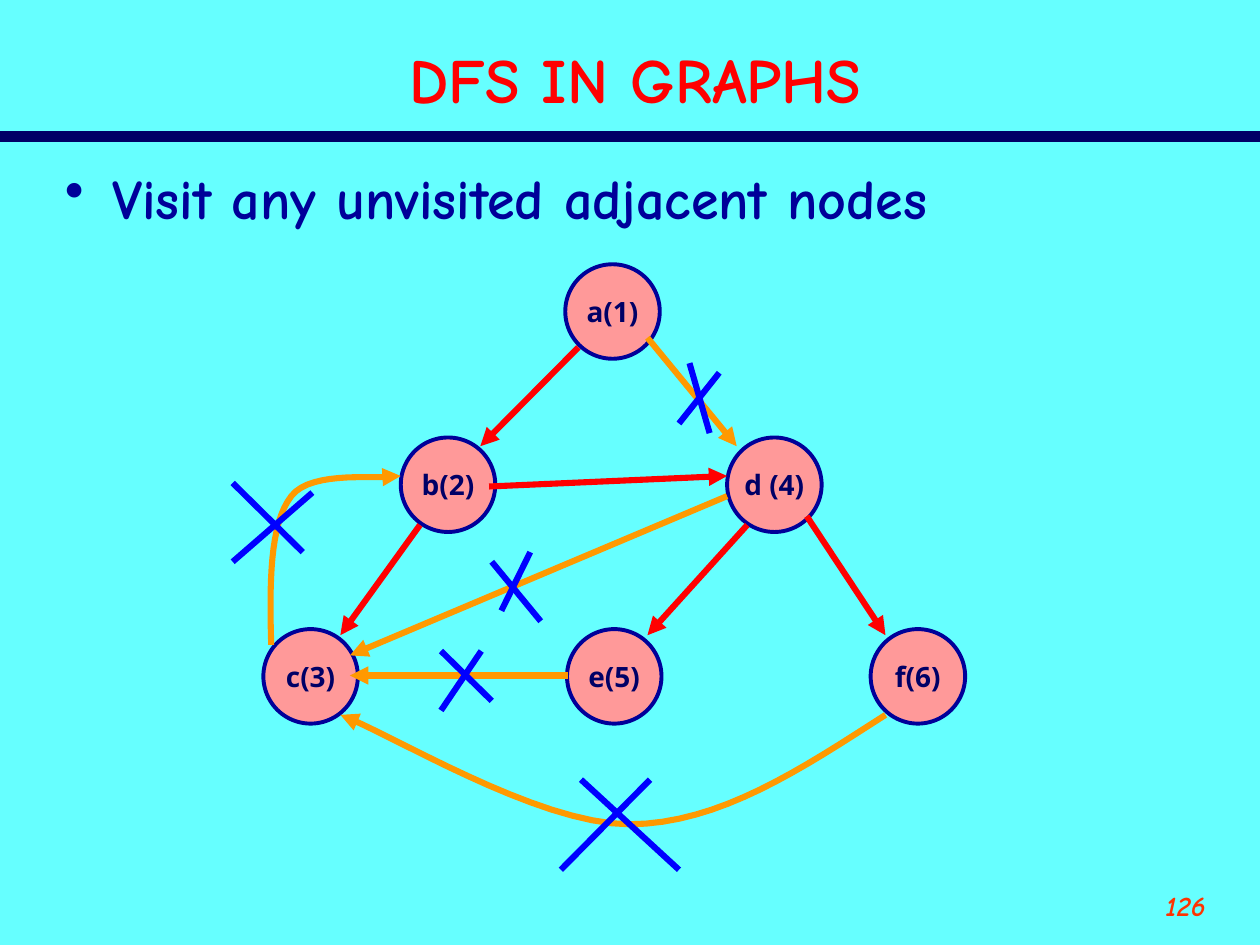
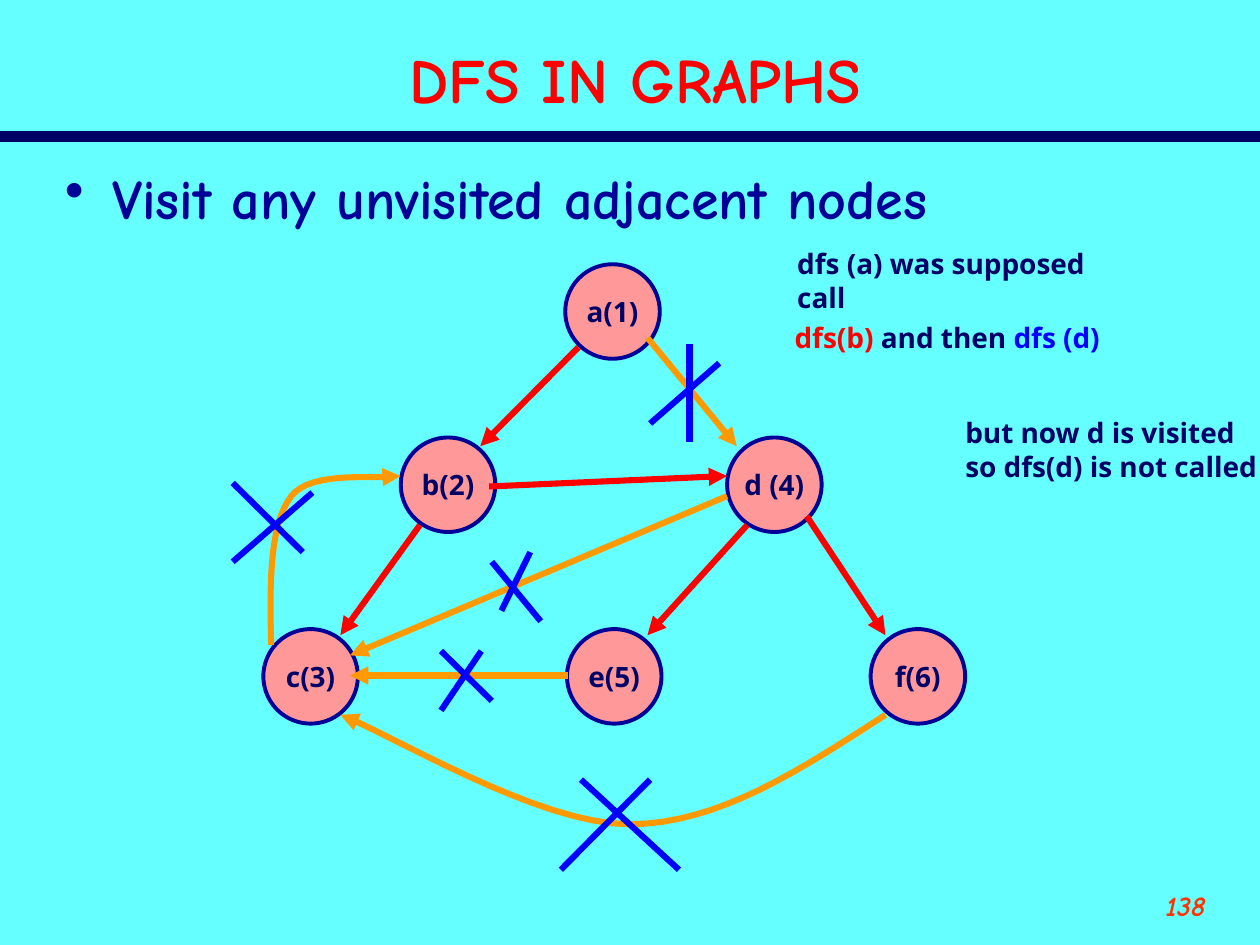
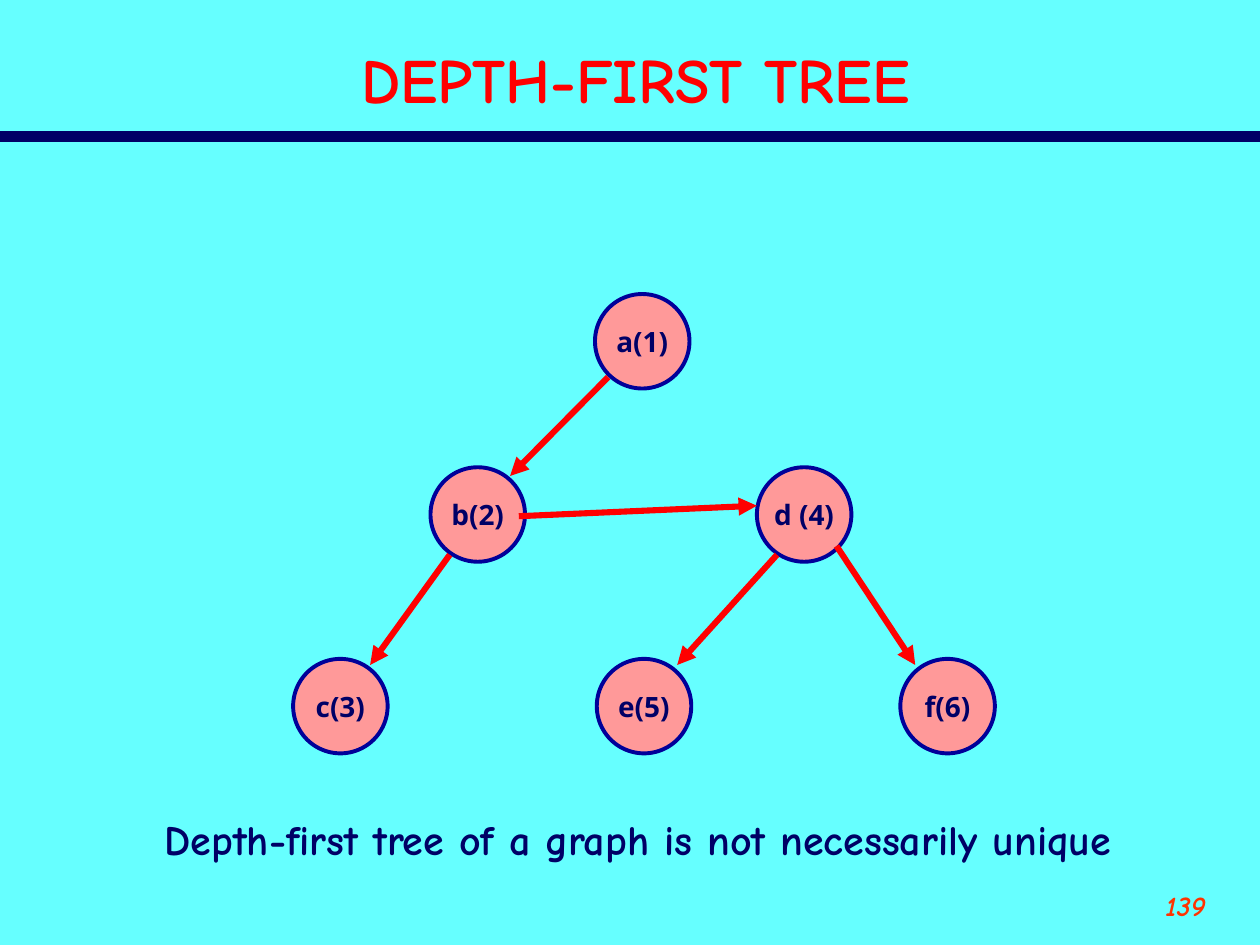
"""Build three slides that show depth-first search in a small graph."""
from dataclasses import dataclass
from typing import Any, NamedTuple

from lxml.etree import SubElement
from pptx import Presentation
from pptx.dml.color import RGBColor
from pptx.enum.shapes import MSO_CONNECTOR, MSO_SHAPE
from pptx.enum.text import MSO_ANCHOR, PP_ALIGN
from pptx.oxml.ns import qn
from pptx.util import Pt

OVAL = MSO_SHAPE.OVAL
STRAIGHT = MSO_CONNECTOR.STRAIGHT
TOP, MIDDLE = MSO_ANCHOR.TOP, MSO_ANCHOR.MIDDLE
LEFT, CENTER, RIGHT = PP_ALIGN.LEFT, PP_ALIGN.CENTER, PP_ALIGN.RIGHT

AQUA = RGBColor(0x66, 0xFF, 0xFF)
NAVY = RGBColor(0x00, 0x00, 0x66)
INDIGO = RGBColor(0x00, 0x00, 0x99)
BLUE = RGBColor(0x00, 0x00, 0xFF)
RED = RGBColor(0xFF, 0x00, 0x00)
RUST = RGBColor(0xFF, 0x33, 0x00)
ORANGE = RGBColor(0xFF, 0x99, 0x00)
PINK = RGBColor(0xFF, 0x99, 0x99)

COMIC, SANS = "Comic Neue", "Noto Sans"
TITLE = {"name": COMIC, "size": Pt(36), "bold": True}
BODY = {"name": COMIC, "size": Pt(32), "bold": True}
CLOSING = {"name": COMIC, "size": Pt(24), "bold": True}
NUMBER = {"name": COMIC, "size": Pt(16), "bold": True, "italic": True}
LABEL = {"name": SANS, "size": Pt(16), "bold": True}

WIDTH, HEIGHT = 720, 540
NODE_SIZE = 54
NODE_LINE, EDGE_LINE, RULE_LINE = 2.25, 3.5, 6
LEAF_X, LEAF_Y, LEAF_STEP = 150.5, 359.5, 173.5
MID_Y = 250
INDENT = 27
STEPS = 16
TREE_SHIFT = 17


class Point(NamedTuple):
    """A place on the slide, in points."""
    x: float
    y: float


class Span(NamedTuple):
    """A piece of text in one colour."""
    text: str
    color: RGBColor = NAVY


class Node(NamedTuple):
    """A graph node with its top left corner."""
    label: str
    x: float
    y: float


class Stroke(NamedTuple):
    """A straight line between two points."""
    start: Point
    end: Point


class Bend(NamedTuple):
    """A cubic curve section after a known start."""
    first: Point
    second: Point
    end: Point


class Curve(NamedTuple):
    """A start point and the bends that follow it."""
    start: Point
    bends: tuple[Bend, ...]


@dataclass(frozen=True)
class Box:
    """A text box with its paragraphs and format."""
    x: float
    y: float
    width: float
    height: float
    lines: tuple[tuple[Span, ...], ...]
    font: dict[str, Any]
    align: PP_ALIGN = LEFT
    anchor: MSO_ANCHOR = TOP
    wrap: bool = False
    bullet: bool = False


NODES = (
    Node("a(1)", 323, 151),
    Node("b(2)", 229, MID_Y),
    Node("d (4)", 415.5, MID_Y),
    *(Node(label, LEAF_X + i * LEAF_STEP, LEAF_Y)
      for i, label in enumerate(("c(3)", "e(5)", "f(6)"))),
)
TREE = (
    Stroke(Point(330.5, 198.5), Point(274.5, 255)),
    Stroke(Point(240, 300), Point(194.5, 363)),
    Stroke(Point(461, 295), Point(506, 363)),
    Stroke(Point(427, 300), Point(370, 363)),
    Stroke(Point(279.5, 278), Point(415.5, 272)),
)
SKIPPED = (
    Stroke(Point(370, 193), Point(421, 255)),
    Stroke(Point(324.5, 386), Point(200, 386)),
    Stroke(Point(415.5, 283.5), Point(200, 374.5)),
)
CURVES = (
    Curve(Point(506, 408.5), (
        Bend(Point(458.5, 439), Point(411, 471), Point(359.5, 471)),
        Bend(Point(306.5, 471), Point(222, 418.5), Point(194.5, 408.5)),
    )),
    Curve(Point(155, 368.5), (
        Bend(Point(154, 334), Point(154, 299.5), Point(166.5, 283.5)),
        Bend(Point(178.5, 268), Point(218, 274.5), Point(229, 272)),
    )),
)
CROSSES = (
    Stroke(Point(133, 276), Point(173, 315.5)),
    Stroke(Point(133, 321), Point(178.5, 281.5)),
    Stroke(Point(281, 321), Point(309, 355)),
    Stroke(Point(286.5, 349), Point(303, 315.5)),
    Stroke(Point(252, 372), Point(281, 400.5)),
    Stroke(Point(252, 406), Point(275, 372)),
    Stroke(Point(332, 445.5), Point(388, 497)),
    Stroke(Point(320.5, 497), Point(371.5, 445.5)),
)
SMALL_CROSS = (
    Stroke(Point(411, 213), Point(388, 242)),
    Stroke(Point(394, 207.5), Point(405.5, 247.5)),
)
LARGE_CROSS = (
    Stroke(Point(411, 207.5), Point(371.5, 242)),
    Stroke(Point(394, 196.5), Point(394, 252.5)),
)
VISIT = Box(30, 90, 666, 426, ((Span("Visit any unvisited adjacent nodes", INDIGO),),),
            BODY, wrap=True, bullet=True)
NOTES = (
    Box(447, 179.5, 189, 26.5,
        ((Span("dfs(b)", RED), Span(" and then "), Span("dfs (d)", BLUE)),), LABEL),
    Box(448.5, 137.5, 210, 26.5, ((Span("dfs (a) was supposed call"),),), LABEL),
    Box(544.5, 234, 181, 46,
        ((Span("but now d is visited"),), (Span("so dfs(d) is not called"),)), LABEL),
)
UNIQUE = Box(87, 461.5, 556.5, 36,
             ((Span("Depth-first tree of a graph is not necessarily unique"),),), CLOSING)


def apply(target: Any, values: dict[str, Any]) -> None:
    """Set each named value on the target."""
    for name, value in values.items():
        setattr(target, name, value)


def write(para: Any, spans: tuple[Span, ...], font: dict[str, Any]) -> None:
    """Add the spans to a paragraph as runs."""
    for span in spans:
        run = para.add_run()
        run.text = span.text
        apply(run.font, font)
        run.font.color.rgb = span.color


def add_bullet(para: Any, color: RGBColor) -> None:
    """Give a paragraph a hanging bullet."""
    props = para._p.get_or_add_pPr()
    props.set("marL", str(Pt(INDENT)))
    props.set("indent", str(-Pt(INDENT)))
    SubElement(SubElement(props, qn("a:buClr")), qn("a:srgbClr"), val=str(color))
    SubElement(props, qn("a:buChar"), char="•")


def draw_box(slide: Any, box: Box) -> None:
    """Draw a text box."""
    shape = slide.shapes.add_textbox(Pt(box.x), Pt(box.y), Pt(box.width), Pt(box.height))
    frame = shape.text_frame
    apply(frame, {"word_wrap": box.wrap, "vertical_anchor": box.anchor})
    for i, spans in enumerate(box.lines):
        para = frame.add_paragraph() if i else frame.paragraphs[0]
        para.alignment = box.align
        if box.bullet:
            add_bullet(para, spans[0].color)
        write(para, spans, box.font)


def draw_node(slide: Any, node: Node, shift: float) -> None:
    """Draw a labelled round node."""
    shape = slide.shapes.add_shape(OVAL, Pt(node.x + shift), Pt(node.y + shift),
                                   Pt(NODE_SIZE), Pt(NODE_SIZE))
    shape.shadow.inherit = False
    shape.fill.solid()
    shape.fill.fore_color.rgb = PINK
    set_line(shape, INDIGO, NODE_LINE)
    frame = shape.text_frame
    apply(frame, {"word_wrap": False, "vertical_anchor": MIDDLE})
    para = frame.paragraphs[0]
    para.alignment = CENTER
    write(para, (Span(node.label),), LABEL)


def set_line(shape: Any, color: RGBColor, width: float, arrow: bool = False) -> None:
    """Set the line of a shape, with an arrowhead if asked."""
    shape.line.color.rgb = color
    shape.line.width = Pt(width)
    if arrow:
        SubElement(shape.element.spPr.find(qn("a:ln")), qn("a:tailEnd"), type="triangle")


def draw_stroke(slide: Any, stroke: Stroke, color: RGBColor, width: float = EDGE_LINE,
                arrow: bool = False, shift: float = 0) -> None:
    """Draw a straight line or arrow."""
    ends = [Pt(value + shift) for point in stroke for value in point]
    line = slide.shapes.add_connector(STRAIGHT, *ends)
    set_line(line, color, width, arrow)
    SubElement(line.element.spPr, qn("a:effectLst"))


def trace(start: Point, bend: Bend) -> list[Point]:
    """Return the points along a bend after its start."""
    points = []
    for step in range(1, STEPS + 1):
        t = step / STEPS
        u = 1 - t
        parts = (u ** 3, 3 * u * u * t, 3 * u * t * t, t ** 3)
        points.append(Point(*(sum(part * value for part, value in zip(parts, axis))
                              for axis in zip(start, *bend))))
    return points


def draw_curve(slide: Any, curve: Curve) -> None:
    """Draw a curved arrow for an edge that is skipped."""
    points = [curve.start]
    for bend in curve.bends:
        points += trace(points[-1], bend)
    first, *rest = [(Pt(point.x), Pt(point.y)) for point in points]
    path = slide.shapes.build_freeform(*first)
    path.add_line_segments(rest, close=False)
    shape = path.convert_to_shape()
    shape.shadow.inherit = False
    shape.fill.background()
    set_line(shape, ORANGE, EDGE_LINE, arrow=True)


def draw_tree(slide: Any, shift: float = 0) -> None:
    """Draw the nodes and the tree edges."""
    for node in NODES:
        draw_node(slide, node, shift)
    for edge in TREE:
        draw_stroke(slide, edge, RED, arrow=True, shift=shift)


def draw_graph(slide: Any, cross: tuple[Stroke, ...]) -> None:
    """Draw the whole graph with its skipped edges crossed out."""
    draw_box(slide, VISIT)
    draw_tree(slide)
    for edge in SKIPPED:
        draw_stroke(slide, edge, ORANGE, arrow=True)
    for curve in CURVES:
        draw_curve(slide, curve)
    for stroke in CROSSES + cross:
        draw_stroke(slide, stroke, BLUE)


def add_slide(deck: Any, title: str, number: int) -> Any:
    """Add a slide with its rule, number and title."""
    slide = deck.slides.add_slide(deck.slide_layouts[6])
    draw_stroke(slide, Stroke(Point(0, 78), Point(WIDTH, 78)), NAVY, RULE_LINE)
    draw_box(slide, Box(624, 504, 72, 36, ((Span(str(number), RUST),),), NUMBER,
                        RIGHT, wrap=True))
    draw_box(slide, Box(30, 18, 666, 54, ((Span(title, RED),),), TITLE,
                        CENTER, MIDDLE, wrap=True))
    return slide


def main() -> None:
    """Build and save the deck."""
    deck = Presentation()
    apply(deck, {"slide_width": Pt(WIDTH), "slide_height": Pt(HEIGHT)})
    fill = deck.slide_master.background.fill
    fill.solid()
    fill.fore_color.rgb = AQUA

    draw_graph(add_slide(deck, "DFS IN GRAPHS", 126), SMALL_CROSS)

    called = add_slide(deck, "DFS IN GRAPHS", 138)
    draw_graph(called, LARGE_CROSS)
    for note in NOTES:
        draw_box(called, note)

    tree = add_slide(deck, "DEPTH-FIRST TREE", 139)
    draw_tree(tree, TREE_SHIFT)
    draw_box(tree, UNIQUE)

    deck.save("out.pptx")


if __name__ == "__main__":
    main()
